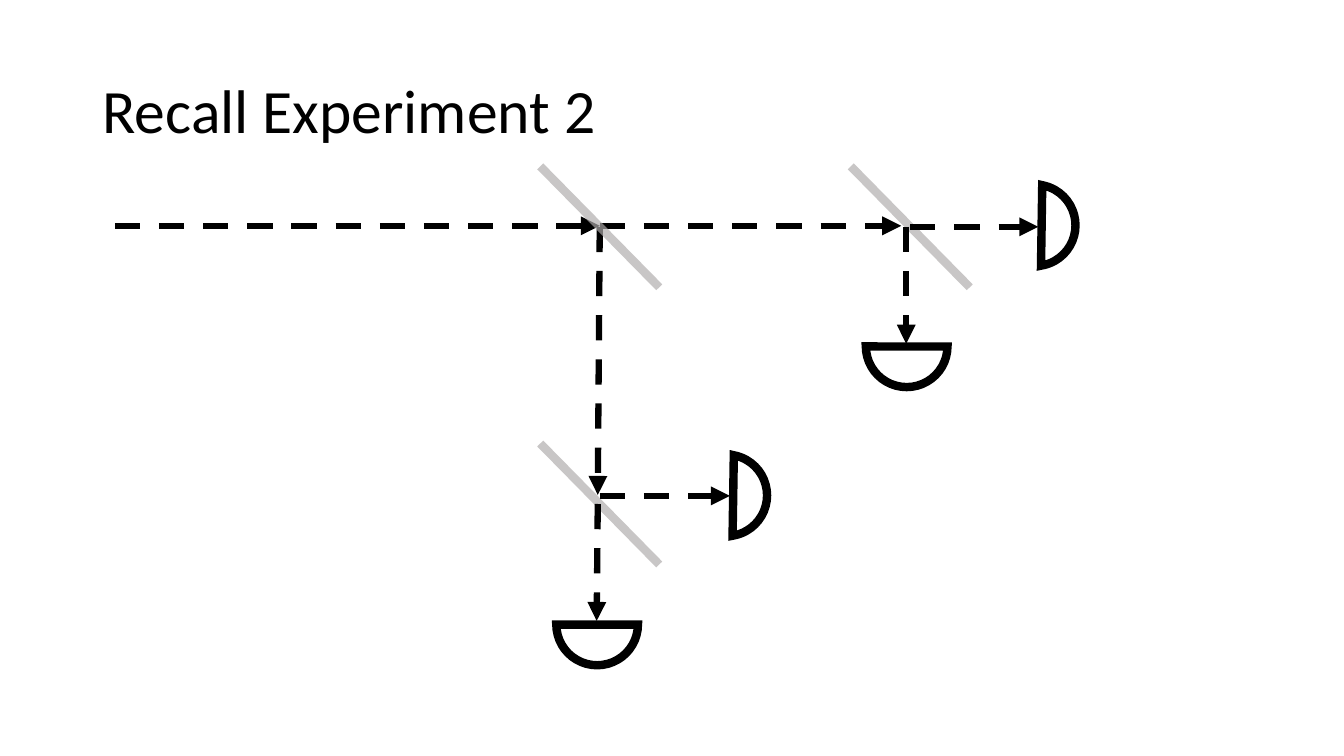
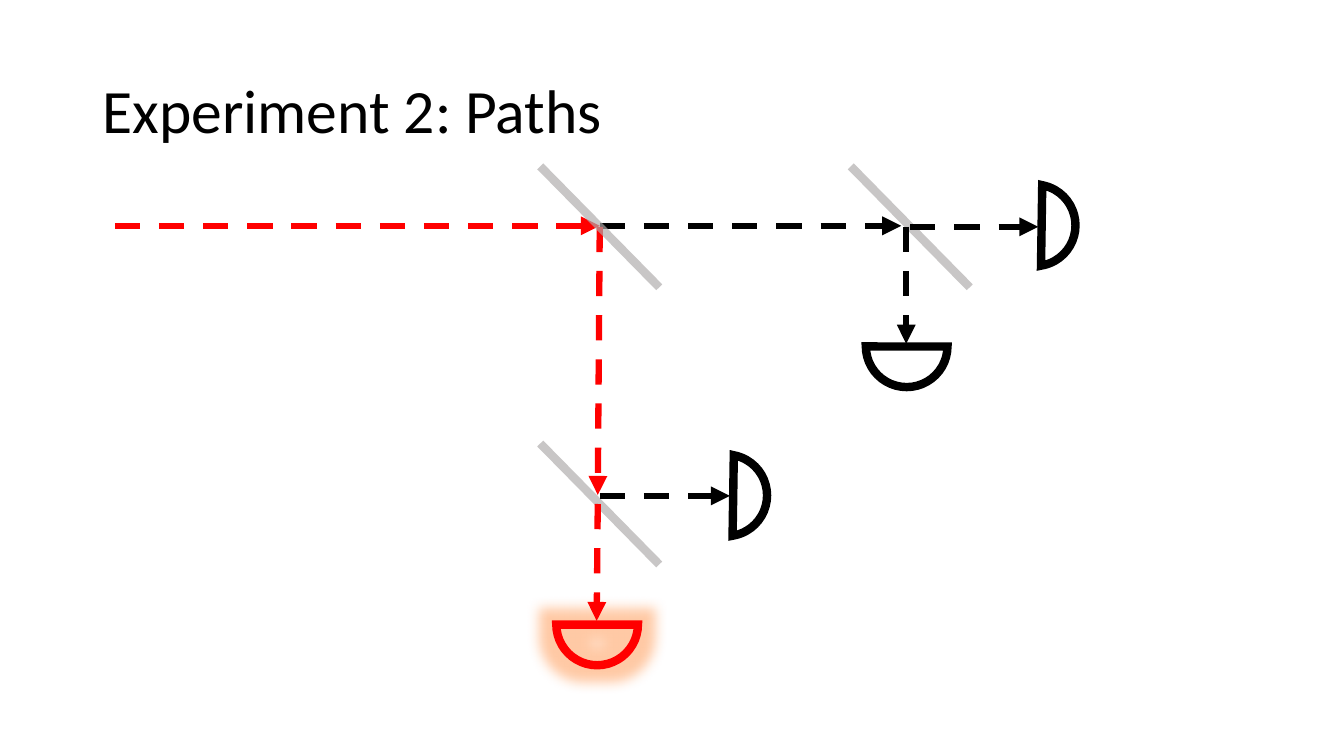
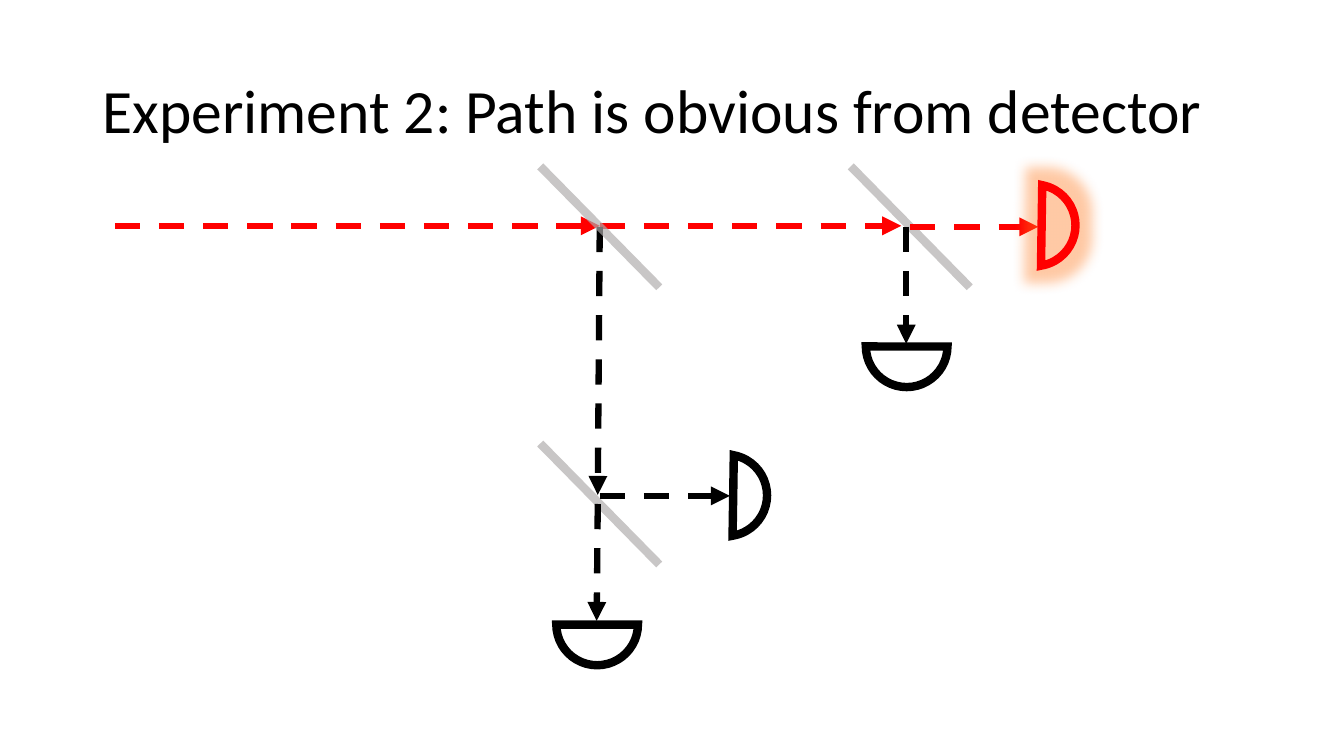
from lxml import etree
from pptx import Presentation
from pptx import util as u
from pptx.dml.color import RGBColor
from pptx.enum import dml, shapes, text
from pptx.oxml.ns import qn

BLACK, RED, MIRROR_GREY, GLOW = "000000", "FF0000", "AFABAB", "FF7A1F"
FONT = "Calibri"
TITLE_BOX = (66, 28.75, 828, 104.5)
DETECTOR_SIZE = 58.3
MIRROR_HALF = (42.5, 43.2)
FACING = {"down": (0.179, 107.868), "right": (168.411, 48.651)}

PARTS = [
    ("detector", "lower down", (397.4, 416.9)),
    ("detector", "lower right", (489.6, 324.7)),
    ("beam", "source", (82, 161.3, 428.4, 161.3)),
    ("beam", "upper", (428.4, 161.3, 643.7, 161.3)),
    ("beam", "lower", (428.4, 162, 427, 353.5)),
    ("mirror", "first", (428.4, 162)),
    ("mirror", "lower", (428.4, 360)),
    ("mirror", "upper", (650.2, 162)),
    ("beam", "upper right", (650.2, 162, 741.6, 162)),
    ("beam", "lower right", (428.4, 354.2, 521.3, 354.2)),
    ("beam", "upper down", (647.3, 162, 647.3, 245.5)),
    ("beam", "lower down", (427, 360, 426.2, 443.5)),
    ("detector", "upper right", (709.9, 131.8)),
    ("detector", "upper down", (618.5, 218.2)),
]

SLIDES = [
    ("Recall Experiment 2", ()),
    ("Experiment 2: Paths", ("source", "lower", "lower down")),
    ("Experiment 2: Path is obvious from detector", ("source", "upper", "upper right")),
]


def rgb(value):
    return RGBColor.from_string(value)


def child(parent, tag, **attributes):
    return etree.SubElement(parent, qn(tag), attributes)


def set_alpha(color_element, percent):
    child(color_element, "a:alpha", val=str(percent * 1000))


def style_line(line, color, width):
    line.color.rgb = rgb(color)
    line.width = u.Pt(width)


def add_segment(slide, ends, color, width):
    segment = slide.shapes.add_connector(
        shapes.MSO_CONNECTOR.STRAIGHT, *(u.Pt(end) for end in ends))
    style_line(segment.line, color, width)
    child(segment._element.spPr, "a:effectLst")
    return segment


def add_beam(slide, name, ends, lit):
    beam = add_segment(slide, ends, RED if name in lit else BLACK, 4.5)
    beam.line.dash_style = dml.MSO_LINE.DASH
    child(beam._element.spPr.find(qn("a:ln")), "a:tailEnd", type="triangle")


def add_mirror(slide, name, center, lit):
    (x, y), (dx, dy) = center, MIRROR_HALF
    mirror = add_segment(slide, (x - dx, y - dy, x + dx, y + dy), MIRROR_GREY, 6)
    set_alpha(next(mirror._element.spPr.iter(qn("a:srgbClr"))), 67)


def add_detector(slide, name, corner, lit):
    detector = slide.shapes.add_shape(
        shapes.MSO_SHAPE.CHORD,
        *(u.Pt(value) for value in (*corner, DETECTOR_SIZE, DETECTOR_SIZE)))
    for index, angle in enumerate(FACING[name.split()[-1]]):
        detector.adjustments[index] = angle
    detector.fill.background()
    style_line(detector.line, RED if name in lit else BLACK, 6)
    detector.shadow.inherit = False
    properties = detector._element.spPr
    child(properties.find(qn("a:ln")), "a:miter", lim="800000")
    if name in lit:
        glow = child(properties.find(qn("a:effectLst")), "a:glow", rad=str(u.Pt(18)))
        set_alpha(child(glow, "a:srgbClr", val=GLOW), 40)


def write_title(title, wording):
    title.text_frame.vertical_anchor = text.MSO_ANCHOR.MIDDLE
    heading = title.text_frame.paragraphs[0]
    heading.alignment = text.PP_ALIGN.LEFT
    heading.line_spacing = 0.9
    run = heading.add_run()
    run.text = wording
    run.font.name = FONT
    run.font.size = u.Pt(44)
    run.font.color.rgb = rgb(BLACK)


DRAW = {"beam": add_beam, "mirror": add_mirror, "detector": add_detector}


def main():
    deck = Presentation()
    deck.slide_width, deck.slide_height = u.Pt(960), u.Pt(540)
    layout = deck.slide_layouts.get_by_name("Title Only")
    title_frame = layout.placeholders[0]
    title_frame.left, title_frame.top, title_frame.width, title_frame.height = map(u.Pt, TITLE_BOX)
    for wording, lit in SLIDES:
        slide = deck.slides.add_slide(layout)
        write_title(slide.shapes.title, wording)
        for kind, name, place in PARTS:
            DRAW[kind](slide, name, place, lit)
    deck.save("out.pptx")


if __name__ == "__main__":
    main()
